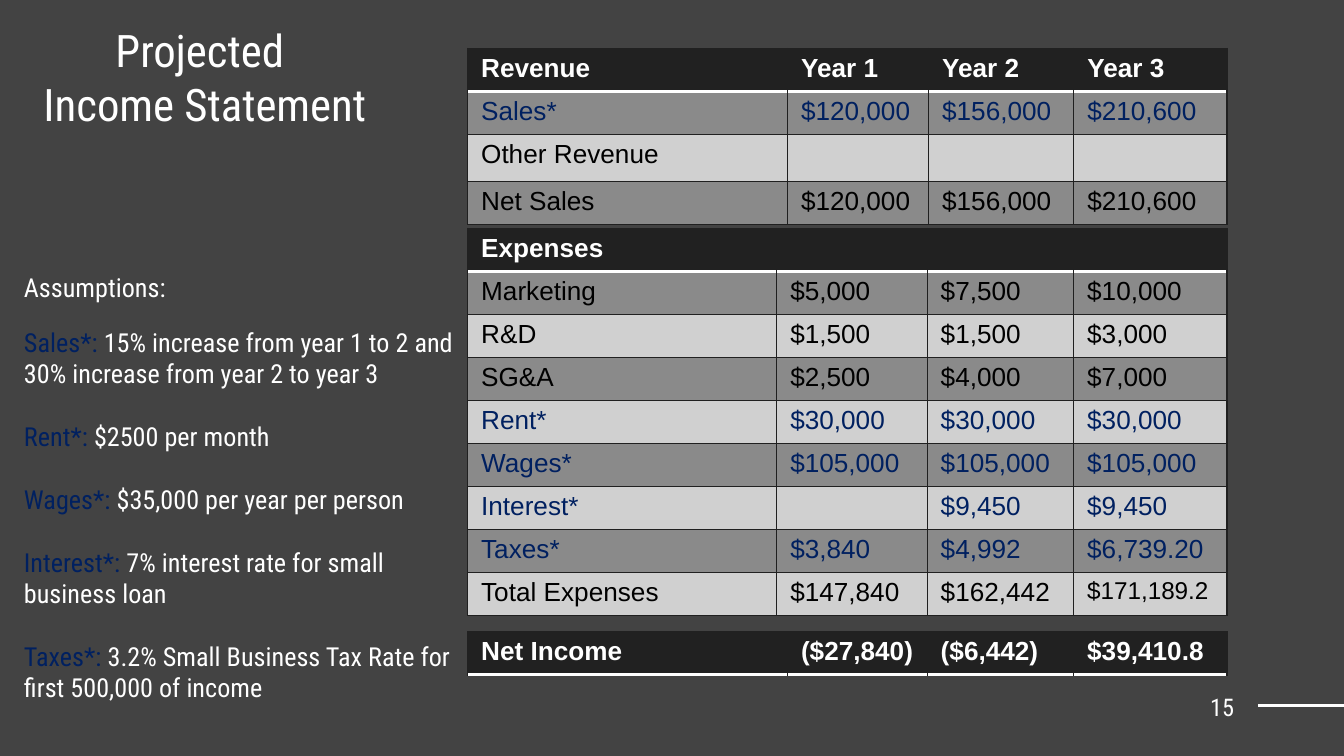
import pptx
import pptx.util
import pptx.dml.color
import pptx.enum.shapes
import pptx.enum.text
import pptx.oxml.ns
from dataclasses import dataclass
from lxml import etree

Inches = pptx.util.Inches
Pt = pptx.util.Pt
Align = pptx.enum.text.PP_ALIGN
qn = pptx.oxml.ns.qn


@dataclass
class Theme:
    back: str = "434343"
    head: str = "212121"
    edge: str = "202020"
    dark: str = "8A8A8A"
    light: str = "D0D0D0"
    white: str = "FFFFFF"
    black: str = "000000"
    navy: str = "002060"
    sans: str = "Roboto Condensed"
    grid: str = "Arial"
    title: float = 24
    body: float = 14
    small: float = 13
    gap: float = 16.8


def rgb(color):
    return pptx.dml.color.RGBColor.from_string(color)


class Page:
    def __init__(self, slide, theme):
        self.slide, self.theme = slide, theme
        fill = slide.background.fill
        fill.solid()
        fill.fore_color.rgb = rgb(theme.back)

    def style(self, font, face, size, color=None, bold=False):
        font.name, font.size, font.bold = face, Pt(size), bold
        if color:
            font.color.rgb = rgb(color)

    def text(self, box, paras, size, align=Align.LEFT, gap=0, pad=0.05):
        """Each paragraph is a list of (words, color) runs."""
        frame = self.slide.shapes.add_textbox(*map(Inches, box)).text_frame
        frame.word_wrap = True
        frame.margin_top = frame.margin_bottom = Inches(pad)
        for i, runs in enumerate(paras):
            para = frame.add_paragraph() if i else frame.paragraphs[0]
            para.alignment = align
            if i and gap:
                para.space_before = Pt(gap)
            self.style(para.font, self.theme.sans, size)
            for words, color in runs:
                run = para.add_run()
                run.text = words
                run.font.color.rgb = rgb(color)
        return frame

    def line(self, start, end, width):
        kind = pptx.enum.shapes.MSO_CONNECTOR.STRAIGHT
        line = self.slide.shapes.add_connector(kind, *map(Inches, start + end))
        line.line.color.rgb = rgb(self.theme.white)
        line.line.width = Pt(width)
        etree.SubElement(line._element.spPr, qn("a:effectLst"))

    def border(self, cell, side, color, width):
        props = cell._tc.get_or_add_tcPr()
        line = etree.SubElement(props, qn("a:ln" + side), w=str(Pt(width)))
        fill = etree.SubElement(line, qn("a:solidFill"))
        etree.SubElement(fill, qn("a:srgbClr"), val=color)

    def cell(self, cell, words, row, color, size):
        t = self.theme
        head = row == 0
        rule = (t.white, 2)
        thin = (t.head if head else t.edge, 0.75)
        cell.margin_top = cell.margin_bottom = Inches(0.04)
        self.border(cell, "L", *thin)
        self.border(cell, "R", *thin)
        self.border(cell, "T", *(rule if row == 1 else thin))
        self.border(cell, "B", *(rule if head else thin))
        cell.fill.solid()
        shade = t.head if head else (t.light, t.dark)[row % 2]
        cell.fill.fore_color.rgb = rgb(shade)
        cell.text = words
        para = cell.text_frame.paragraphs[0]
        self.style(para.font, t.grid, size, color, head)
        if not words:
            etree.SubElement(para._p, qn("a:endParaRPr"), sz=str(t.body * 100))

    def table(self, left, top, cols, rows, tall=None, small=None):
        """The first row is the heading; starred rows are navy."""
        t = self.theme
        high = [(tall or {}).get(i, 0.32) for i in range(len(rows))]
        box = (left, top, sum(cols), sum(high))
        shape = self.slide.shapes.add_table(
            len(rows), len(cols), *map(Inches, box))
        grid = shape.table
        grid.horz_banding = False
        for col, width in zip(grid.columns, cols):
            col.width = Inches(width)
        for r, row in enumerate(rows):
            grid.rows[r].height = Inches(high[r])
            color = t.navy if row[0].endswith("*") else t.black
            if r == 0:
                color = t.white
            for c, words in enumerate(row):
                size = t.small if (r, c) == small else t.body
                self.cell(grid.cell(r, c), words, r, color, size)


REVENUE = [
    ("Revenue", "Year 1", "Year 2", "Year 3"),
    ("Sales*", "$120,000", "$156,000", "$210,600"),
    ("Other Revenue", "", "", ""),
    ("Net Sales", "$120,000", "$156,000", "$210,600"),
]
EXPENSES = [
    ("Expenses", "", "", ""),
    ("Marketing", "$5,000", "$7,500", "$10,000"),
    ("R&D", "$1,500", "$1,500", "$3,000"),
    ("SG&A", "$2,500", "$4,000", "$7,000"),
    ("Rent*", "$30,000", "$30,000", "$30,000"),
    ("Wages*", "$105,000", "$105,000", "$105,000"),
    ("Interest*", "", "$9,450", "$9,450"),
    ("Taxes*", "$3,840", "$4,992", "$6,739.20"),
    ("Total Expenses", "$147,840", "$162,442", "$171,189.2"),
]
INCOME = [("Net Income", "($27,840)", "($6,442)", "$39,410.8")]
NOTES = [
    ("Sales*: ", "15% increase from year 1 to 2 and 30% increase "
                 "from year 2 to year 3"),
    ("Rent*: ", "$2500 per month"),
    ("Wages*: ", "$35,000 per year per person"),
    ("Interest*: ", "7% interest rate for small business loan"),
    ("Taxes*: ", "3.2% Small Business Tax Rate for first 500,000 of income"),
]


def main():
    deck = pptx.Presentation()
    deck.slide_width = Inches(10)
    deck.slide_height = Inches(10) * 9 // 16
    t = Theme()
    page = Page(deck.slides.add_slide(deck.slide_layouts[6]), t)

    # Page number and rule
    page.line((9.36, 5.25), (10, 5.25), 1.5)
    number = page.text((8.68, 5.11, 0.6, 0.3), [[("15", t.white)]],
                       t.small, Align.RIGHT, pad=0.1)
    number.vertical_anchor = pptx.enum.text.MSO_ANCHOR.MIDDLE

    # Income statement
    left = 3.48
    page.table(left, 0.36, (2.38, 1.05, 1.08, 1.14), REVENUE, tall={2: 0.35})
    page.table(left, 1.7, (2.3, 1.12, 1.09, 1.14), EXPENSES, small=(8, 3))
    page.table(left, 4.7, (2.38, 1.04, 1.09, 1.14), INCOME)

    # Title
    title = [[("Projected ", t.white)], [("Income Statement", t.white)]]
    page.text((-0.43, 0.12, 3.91, 0.91), title, t.title, Align.CENTER)

    # Assumptions
    page.text((0.08, 1.97, 1.73, 0.34), [[("Assumptions:", t.white)]], t.body)
    notes = [[(name, t.navy), (words, t.white)] for name, words in NOTES]
    page.text((0.08, 2.38, 3.51, 3.4), notes, t.body, gap=t.gap)

    deck.save("out.pptx")


if __name__ == "__main__":
    main()
